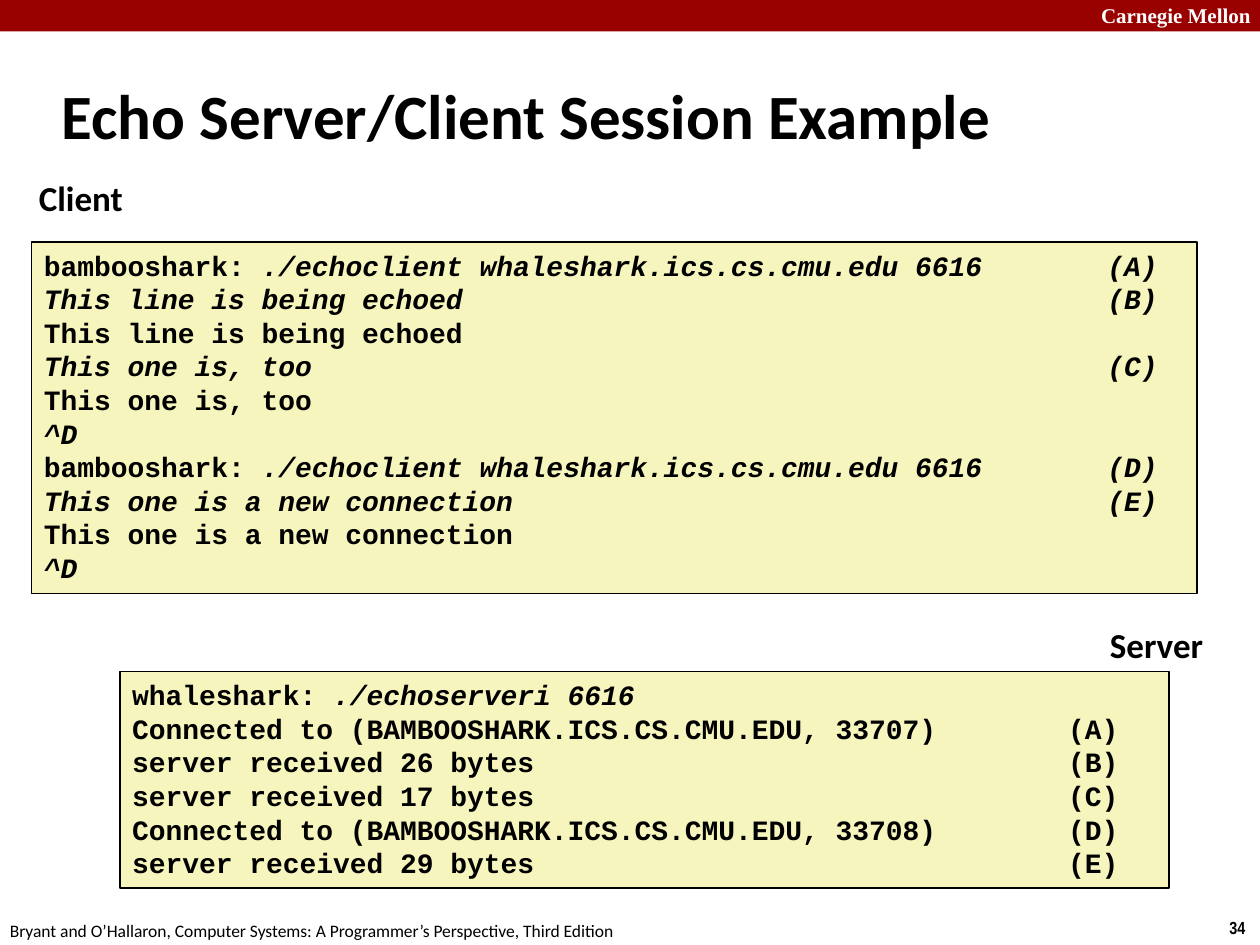
from lxml import etree
from pptx import Presentation
from pptx.dml.color import RGBColor
from pptx.enum.shapes import MSO_SHAPE
from pptx.enum.text import MSO_ANCHOR, PP_ALIGN
from pptx.oxml.ns import qn
from pptx.util import Inches, Pt

RECTANGLE = MSO_SHAPE.RECTANGLE
TOP, MIDDLE = MSO_ANCHOR.TOP, MSO_ANCHOR.MIDDLE
LEFT = PP_ALIGN.LEFT

COLORS = {"banner": "990000", "code": "F6F5BD", "ink": "000000", "paper": "FFFFFF"}

CLIENT_COMMAND = "./echoclient whaleshark.ics.cs.cmu.edu 6616"
CLIENT_LINES = [
    [("bambooshark: ", False), (CLIENT_COMMAND + "\t(A)", True)],
    [("This line is being echoed\t(B)", True)],
    [("This line is being echoed", False)],
    [("This one is, too\t(C)", True)],
    [("This one is, too", False)],
    [("^D", True)],
    [("bambooshark: ", False), (CLIENT_COMMAND + "\t(D)", True)],
    [("This one is a new connection\t(E)", True)],
    [("This one is a new connection", False)],
    [("^D", True)],
]
SERVER_LINES = [
    [("whaleshark: ", False), ("./echoserveri 6616", True)],
    [("Connected to (BAMBOOSHARK.ICS.CS.CMU.EDU, 33707)\t(A)", False)],
    [("server received 26 bytes\t(B)", False)],
    [("server received 17 bytes\t(C)", False)],
    [("Connected to (BAMBOOSHARK.ICS.CS.CMU.EDU, 33708)\t(D)", False)],
    [("server received 29 bytes\t(E)", False)],
]


def color(name):
    return RGBColor.from_string(COLORS[name])


def add_run(paragraph, text, font_name, size, ink="ink", bold=True, italic=False):
    run = paragraph.add_run()
    run.text = text
    run.font.name = font_name
    run.font.size = Pt(size)
    run.font.bold = bold
    run.font.italic = italic
    run.font.color.rgb = color(ink)


def add_label(slide, box, text, font_name, size, ink="ink", bold=True,
              wrap=False, anchor=TOP):
    shape = slide.shapes.add_textbox(*map(Inches, box))
    frame = shape.text_frame
    frame.word_wrap = wrap
    frame.vertical_anchor = anchor
    paragraph = frame.paragraphs[0]
    paragraph.alignment = LEFT
    add_run(paragraph, text, font_name, size, ink, bold)


def add_rectangle(slide, box, fill):
    shape = slide.shapes.add_shape(RECTANGLE, *map(Inches, box))
    shape.shadow.inherit = False
    shape.fill.solid()
    shape.fill.fore_color.rgb = color(fill)
    return shape


def add_tab_stop(paragraph, position):
    properties = paragraph._p.get_or_add_pPr()
    tab_list = etree.SubElement(properties, qn("a:tabLst"))
    etree.SubElement(tab_list, qn("a:tab"), pos=str(Inches(position)), algn="l")


def add_terminal(slide, box, lines, tab_position):
    shape = add_rectangle(slide, box, "code")
    shape.line.color.rgb = color("ink")
    shape.line.width = Pt(1)
    frame = shape.text_frame
    frame.word_wrap = True
    frame.vertical_anchor = TOP
    for index, line in enumerate(lines):
        paragraph = frame.add_paragraph() if index else frame.paragraphs[0]
        paragraph.alignment = LEFT
        add_tab_stop(paragraph, tab_position)
        for text, italic in line:
            add_run(paragraph, text, "Courier New", 16, italic=italic)


def add_banner(slide, box):
    left, top, width, height = box
    add_rectangle(slide, box, "banner").line.fill.background()
    add_label(slide, (left + width - 1.36, top - 0.03, 1.43, 0.3),
              "Carnegie Mellon", "Times New Roman", 12, "paper", wrap=True)


def add_footer(slide, box):
    left, top, width, height = box
    add_label(slide, (left + width - 0.34, top - 0.02, 0.34, height),
              "34", "Arial Narrow", 10)
    add_label(slide, (left - 0.02, top, 5.08, height),
              "Bryant and O’Hallaron, Computer Systems: "
              "A Programmer’s Perspective, Third Edition",
              "Calibri", 10, bold=False)


def main():
    presentation = Presentation()
    presentation.slide_width = Inches(10)
    presentation.slide_height = Inches(7.5)
    slide = presentation.slides.add_slide(presentation.slide_layouts[6])

    add_banner(slide, (0, 0, 10, 0.25))
    add_footer(slide, (0, 7.25, 10, 0.27))
    add_label(slide, (0.39, 0.49, 8.3, 0.83), "Echo Server/Client Session Example",
              "Calibri", 36, wrap=True, anchor=MIDDLE)
    add_terminal(slide, (0.95, 5.33, 8.33, 1.72), SERVER_LINES, 7.43)
    add_terminal(slide, (0.25, 1.92, 9.25, 2.79), CLIENT_LINES, 8.44)
    add_label(slide, (0.21, 1.35, 0.88, 0.44), "Client", "Calibri", 20)
    add_label(slide, (8.71, 4.9, 0.95, 0.44), "Server", "Calibri", 20)

    presentation.save("out.pptx")


if __name__ == "__main__":
    main()
